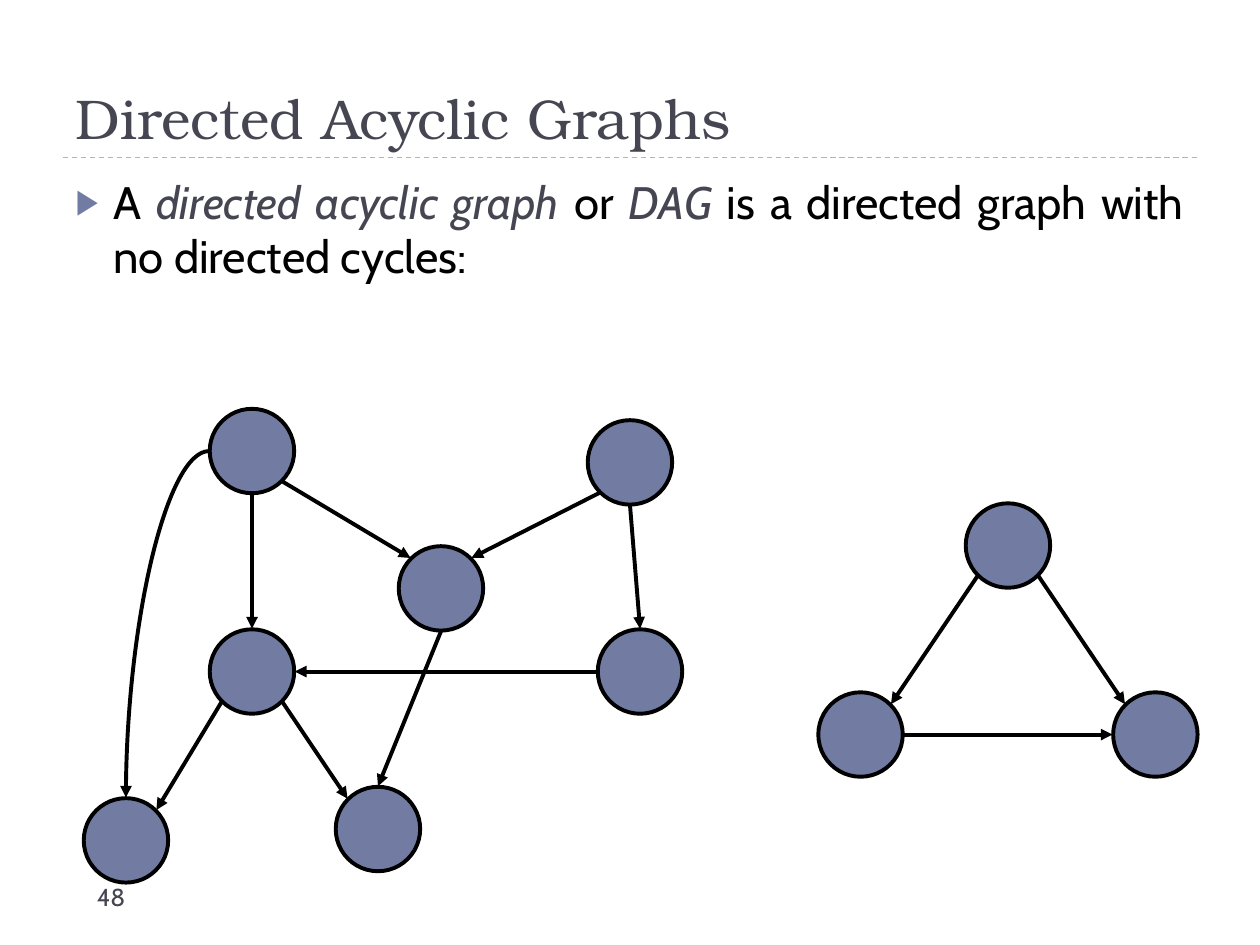
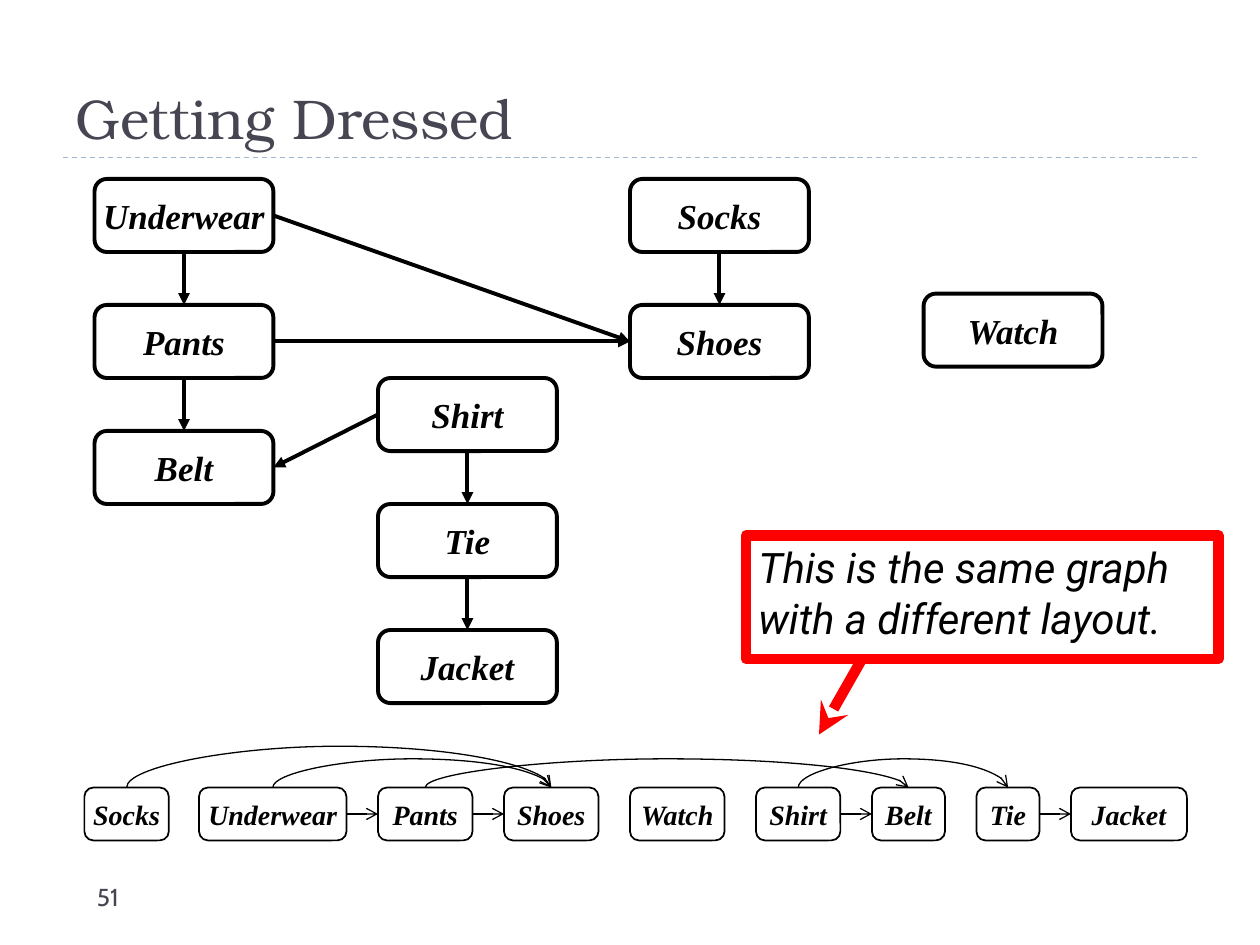
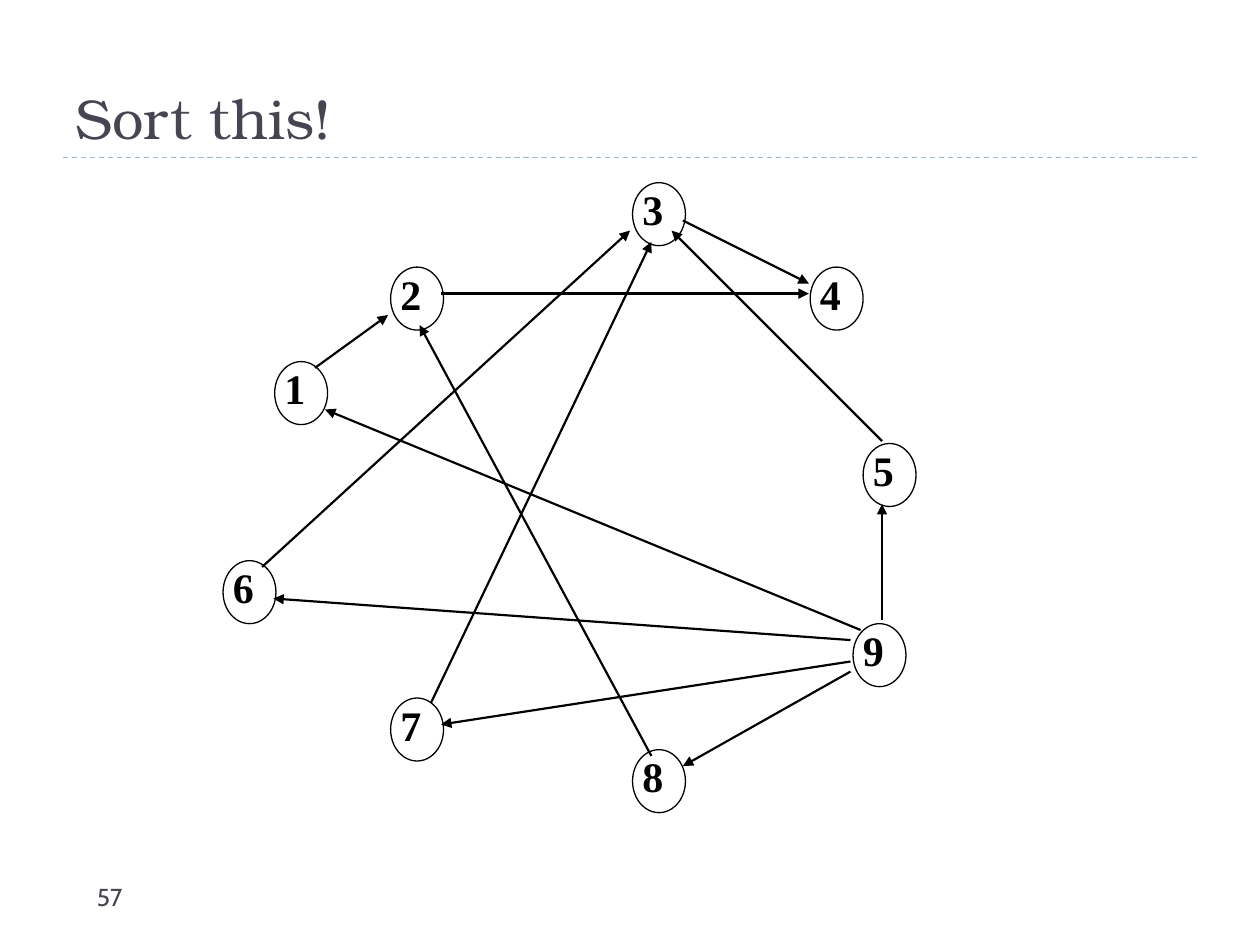
from dataclasses import dataclass
from lxml.etree import SubElement as Sub
from pptx import Presentation
from pptx.dml.color import RGBColor as RGB
from pptx.enum.dml import MSO_LINE as Dash
from pptx.enum.shapes import MSO_CONNECTOR as Wire, MSO_SHAPE as Kind
from pptx.enum.text import MSO_ANCHOR as Anchor, MSO_AUTO_SIZE as Fit, PP_ALIGN as Align
from pptx.oxml.ns import qn
from pptx.util import Emu, Inches, Pt


@dataclass(frozen=True)
class Theme:
    """Colours, then type styles as (font, size, colour, bold, italic)."""
    black: str = "000000"
    blue: str = "727CA3"
    rule: str = "9FB8CD"
    red: str = "FF0000"
    title: tuple = ("TeX Gyre Bonum", 32, "464653", False, False)
    page: tuple = ("Cabin", 14, "464653", False, False)
    body: tuple = ("Cabin", 26, "000000", False, False)
    term: tuple = ("Cabin", 26, "464653", False, True)
    big: tuple = ("Times New Roman", 20, "000000", True, True)
    small: tuple = ("Times New Roman", 16, "000000", True, True)
    digit: tuple = ("Times New Roman", 24, "000000", True, False)
    note: tuple = ("Roboto", 24, "000000", False, True)


T = Theme()


def form(shapes, kind, at, weight, line=T.black, fill=None):
    """Add a flat outlined shape at (left, top, width, height)."""
    shape = shapes.add_shape(kind, *map(Inches, at))
    shape.shadow.inherit = False
    if fill:
        shape.fill.solid()
        shape.fill.fore_color.rgb = RGB.from_string(fill)
    else:
        shape.fill.background()
    shape.line.color.rgb = RGB.from_string(line)
    shape.line.width = Pt(weight)
    return shape


def link(slide, start, end, weight, head="triangle", color=T.black, kind=Wire.STRAIGHT):
    """Add a flat connector from start to end, with an optional arrowhead."""
    wire = slide.shapes.add_connector(kind, *map(Inches, (*start, *end)))
    wire.line.color.rgb = RGB.from_string(color)
    wire.line.width = Pt(weight)
    props = wire.element.spPr
    if head:
        Sub(props.find(qn("a:ln")), qn("a:tailEnd"), type=head)
    Sub(props, qn("a:effectLst"))
    return wire


prs = Presentation()
prs.slide_width, prs.slide_height = Inches(10), Inches(7.5)
marks = []  # (runs, type style), formatted at the end
slides = []

# Title, rule and page number on every slide
for layout, title, number in (
    (1, "Directed Acyclic Graphs", "48"),
    (5, "Getting Dressed", "51"),
    (5, "Sort this!", "57"),
):
    slide = prs.slides.add_slide(prs.slide_layouts[layout])
    slides.append(slide)
    link(slide, (0.5, 1.25), (9.5, 1.25), 0.75, None, T.rule).line.dash_style = Dash.DASH
    head = slide.shapes.title
    head.left, head.top, head.width, head.height = map(Inches, (0.5, 0.17, 9, 1.08))
    frame = head.text_frame
    frame.text = title
    frame.auto_size = Fit.NONE
    frame.vertical_anchor = Anchor.BOTTOM
    frame.paragraphs[0].alignment = Align.LEFT
    marks.append((frame.paragraphs[0].runs, T.title))
    foot = slide.shapes.add_textbox(*map(Inches, (0.67, 6.95, 2.17, 0.4))).text_frame
    foot.word_wrap = True
    foot.text = number
    marks.append((foot.paragraphs[0].runs, T.page))

dag, dress, sort = slides

# Slide 1: definition
body = dag.placeholders[1]
body.left, body.top, body.width, body.height = map(Inches, (0.5, 1.33, 9, 5.4))
body.text_frame.auto_size = Fit.NONE
para = body.text_frame.paragraphs[0]
para.alignment = Align.JUSTIFY
para.space_before = Pt(6)
for text, style in (
    ("A ", T.body),
    ("directed acyclic graph", T.term),
    (" or ", T.body),
    ("DAG", T.term),
    (" is a directed graph with no directed cycles:", T.body),
):
    run = para.add_run()
    run.text = text
    marks.append(([run], style))
props = para._p.get_or_add_pPr()
props.set("marL", str(Inches(0.3)))
props.set("indent", str(Inches(-0.3)))
Sub(Sub(props, qn("a:buClr")), qn("a:srgbClr"), val=T.blue)
Sub(props, qn("a:buSzPct"), val="76000")
Sub(props, qn("a:buChar"), char="▶")

# Slide 1: two graphs, nodes given by their centres
size, reach = 0.67, 0.34
nodes = {
    "a": (2, 3.58), "b": (5, 3.67), "c": (3.5, 4.67), "d": (2, 5.33),
    "e": (5.08, 5.33), "f": (3, 6.58), "g": (1, 6.67),
    "x": (8, 4.33), "y": (9.17, 5.83), "z": (6.83, 5.83),
}
for x, y in nodes.values():
    form(dag.shapes, Kind.OVAL, (x - size / 2, y - size / 2, size, size), 2.25, fill=T.blue)
ways = {
    "N": (0, -1), "S": (0, 1), "W": (-1, 0), "E": (1, 0),
    "NW": (-0.71, -0.71), "NE": (0.71, -0.71), "SW": (-0.71, 0.71), "SE": (0.71, 0.71),
}
for pair, out, into in (
    ("ad", "S", "N"), ("ac", "SE", "NW"), ("bc", "SW", "NE"), ("be", "S", "N"),
    ("ed", "W", "E"), ("cf", "S", "N"), ("df", "SE", "NW"), ("dg", "SW", "NE"),
    ("ag", "W", "N"), ("xz", "SW", "NE"), ("zy", "E", "W"), ("xy", "SE", "NW"),
):
    start, end = [
        [mid + reach * step for mid, step in zip(nodes[key], ways[way])]
        for key, way in zip(pair, (out, into))
    ]
    bent = pair == "ag"
    wire = link(dag, start, end, 2.25, kind=Wire.CURVE if bent else Wire.STRAIGHT)
    if bent:
        wire.element.spPr.find(qn("a:prstGeom")).set("prst", "curvedConnector2")

# Slide 2: the clothes as a graph and as a row
graph = [
    ("Underwear", 0.75, 1.42), ("Socks", 5, 1.42), ("Shoes", 5, 2.42),
    ("Pants", 0.75, 2.42), ("Belt", 0.75, 3.42), ("Shirt", 3, 3),
    ("Watch", 7.33, 2.33), ("Tie", 3, 4), ("Jacket", 3, 5),
]
row = [
    ("Socks", 0.67, 0.67), ("Underwear", 1.58, 1.17), ("Pants", 3, 0.75),
    ("Shoes", 4, 0.75), ("Watch", 5, 0.75), ("Shirt", 6, 0.67),
    ("Belt", 6.92, 0.58), ("Tie", 7.75, 0.5), ("Jacket", 8.5, 0.92),
]
top = 6.25
big, small = {}, {}
plan = [(big, name, (x, y, 1.42, 0.58), 2.25, T.big) for name, x, y in graph]
plan += [(small, name, (x, top, w, 0.42), 1, T.small) for name, x, w in row]
for group, name, at, weight, style in plan:
    box = form(dress.shapes, Kind.ROUNDED_RECTANGLE, at, weight)
    box.adjustments[0] = 0.17
    frame = box.text_frame
    frame.text = name
    frame.word_wrap = False
    frame.vertical_anchor = Anchor.MIDDLE
    frame.paragraphs[0].alignment = Align.CENTER
    marks.append((frame.paragraphs[0].runs, style))
    group[name] = box

wires = [
    (big, "Underwear", 2, "Pants", 0), (big, "Pants", 2, "Belt", 0),
    (big, "Shirt", 1, "Belt", 3), (big, "Shirt", 2, "Tie", 0),
    (big, "Tie", 2, "Jacket", 0), (big, "Socks", 2, "Shoes", 0),
    (big, "Underwear", 3, "Shoes", 1), (big, "Pants", 3, "Shoes", 1),
    (small, "Underwear", 3, "Pants", 1), (small, "Pants", 3, "Shoes", 1),
    (small, "Shirt", 3, "Belt", 1), (small, "Tie", 3, "Jacket", 1),
]
for group, first, out, last, into in wires:
    weight, tip = (2.25, "triangle") if group is big else (0.75, "arrow")
    wire = link(dress, (0, 0), (1, 1), weight, tip)
    wire.begin_connect(group[first], out)
    wire.end_connect(group[last], into)

# Arcs are thin upright curves turned by 90 degrees; the adjustment lifts them
thin = Emu(1588).inches
mids = {name: x + w / 2 for name, x, w in row}
for first, last, lift in (
    ("Socks", "Shoes", 0.36), ("Underwear", "Shoes", 0.25),
    ("Shirt", "Tie", 0.25), ("Pants", "Belt", 0.25),
):
    mid = (mids[first] + mids[last]) / 2
    half = (mids[last] - mids[first]) / 2
    arc = link(dress, (mid, top + half), (mid + thin, top - half), 0.75, "arrow", kind=Wire.CURVE)
    props = arc.element.spPr
    props.find(qn("a:xfrm")).set("rot", "5400000")
    guides = props.find(qn("a:prstGeom")).find(qn("a:avLst"))
    Sub(guides, qn("a:gd"), name="adj1", fmla=f"val {round(-lift / thin * 100000)}")

note = form(dress.shapes, Kind.RECTANGLE, (5.92, 4.25, 3.75, 0.98), 6, T.red)
frame = note.text_frame
frame.text = "This is the same graph with a different layout."
frame.word_wrap = True
frame.vertical_anchor = Anchor.TOP
frame.paragraphs[0].alignment = Align.LEFT
marks.append((frame.paragraphs[0].runs, T.note))
link(dress, (6.83, 5.25), (6.5, 5.83), 6, "stealth", T.red)

# Slide 3: numbered nodes and their edges
for digit, x, y in (
    (1, 2.18, 2.87), (2, 3.1, 2.12), (3, 5.02, 1.45), (4, 6.43, 2.12), (5, 6.85, 3.52),
    (6, 1.77, 4.45), (7, 3.1, 5.54), (8, 5.02, 5.95), (9, 6.77, 4.95),
):
    node = sort.shapes.add_group_shape()
    form(node.shapes, Kind.OVAL, (x, y, 0.42, 0.5), 0.75)
    label = node.shapes.add_textbox(*map(Inches, (x - 0.02, y - 0.04, 0.36, 0.5)))
    frame = label.text_frame
    frame.text = str(digit)
    frame.word_wrap = False
    frame.auto_size = Fit.SHAPE_TO_FIT_TEXT
    marks.append((frame.paragraphs[0].runs, T.digit))
for start, end in (
    ((2.5, 2.92), (3.08, 2.5)), ((3.5, 2.33), (6.42, 2.33)), ((5.42, 1.75), (6.42, 2.25)),
    ((6.83, 5), (2.58, 3.25)), ((2.08, 4.5), (5, 1.83)), ((6.75, 5.33), (5.42, 6.08)),
    ((7, 4.92), (7, 4)), ((7, 3.5), (5.33, 1.83)), ((3.42, 5.58), (5.17, 1.92)),
    ((6.75, 5.08), (2.17, 4.75)), ((6.75, 5.25), (3.5, 5.75)), ((5.17, 6), (3.33, 2.58)),
):
    link(sort, start, end, 1.25)

for runs, (name, points, color, bold, italic) in marks:
    for run in runs:
        font = run.font
        font.name, font.size, font.bold, font.italic = name, Pt(points), bold, italic
        font.color.rgb = RGB.from_string(color)

prs.save("out.pptx")
